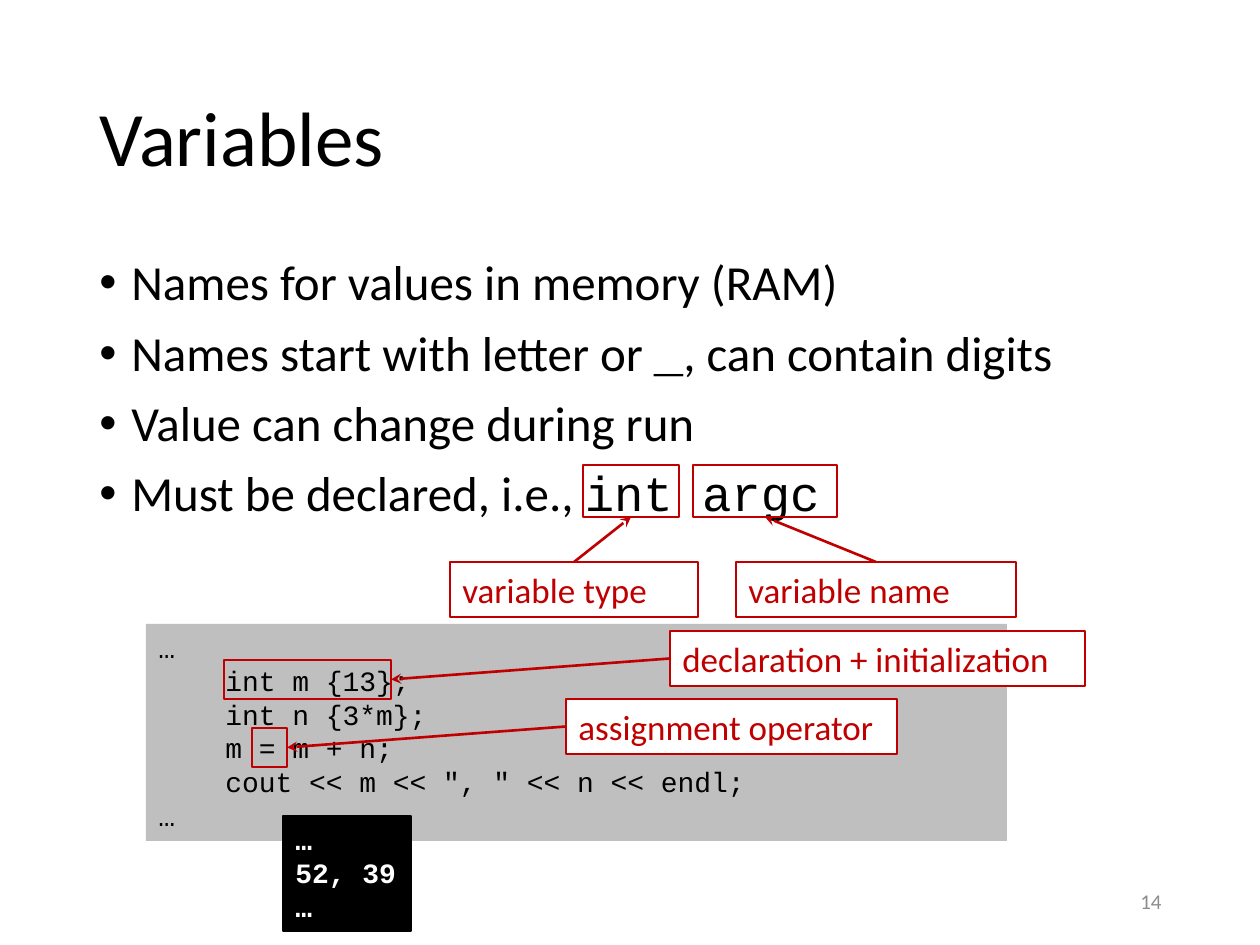
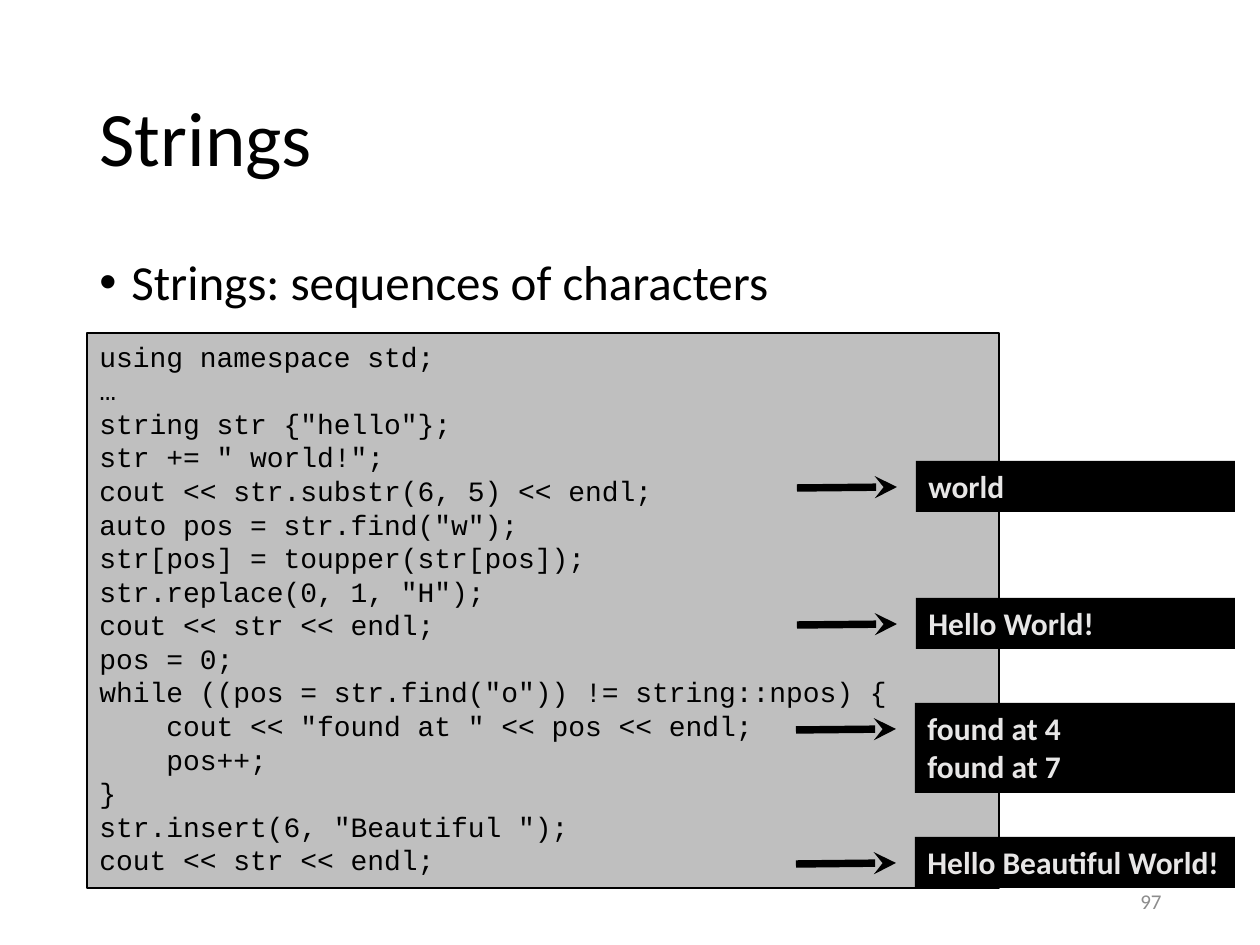
import pptx
import pptx.util
import pptx.dml.color
import pptx.enum.shapes
import pptx.enum.text
import pptx.oxml.ns
from lxml import etree

SCALE = 914400 / 126
SANS, MONO = "Calibri", "Courier New"
BLACK, WHITE, RED, GRAY = "000000", "FFFFFF", "C00000", "BFBFBF"
PALE, DIM = "E7E6E6", "8C8C8C"
ANCHOR = pptx.enum.text.MSO_ANCHOR
ALIGN = pptx.enum.text.PP_ALIGN
LEFT, RIGHT, TOP, BOTTOM = 1, 3, 0, 2

DECLARE = """…
    int m {13};
    int n {3*m};
    m = m + n;
    cout << m << ", " << n << endl;
…"""

STRINGS = """using namespace std;
…
string str {"hello"};
str += " world!";
cout << str.substr(6, 5) << endl;
auto pos = str.find("w");
str[pos] = toupper(str[pos]);
str.replace(0, 1, "H");
cout << str << endl;
pos = 0;
while ((pos = str.find("o")) != string::npos) {
    cout << "found at " << pos << endl;
    pos++;
}
str.insert(6, "Beautiful ");
cout << str << endl;"""


def px(*sizes):
    return [round(size * SCALE) for size in sizes]


def color(code):
    return pptx.dml.color.RGBColor.from_string(code)


def style(runs, size, tint, face=SANS, bold=False):
    for run in runs:
        run.font.size = pptx.util.Pt(size)
        run.font.name = face
        run.font.bold = bold
        run.font.color.rgb = color(tint)


def write(frame, text, size, tint, face=SANS, bold=False,
          align=ALIGN.LEFT, anchor=ANCHOR.TOP):
    frame.text = text
    frame.word_wrap = True
    frame.auto_size = pptx.enum.text.MSO_AUTO_SIZE.NONE
    frame.vertical_anchor = anchor
    for para in frame.paragraphs:
        para.alignment = align
        style(para.runs, size, tint, face, bold)


def panel(slide, box, fill=None, line=None, width=0.75):
    """Add a rectangle; without fill or line, that part is left clear."""
    shape = slide.shapes.add_shape(
        pptx.enum.shapes.MSO_SHAPE.RECTANGLE, *px(*box))
    shape.shadow.inherit = False
    if fill:
        shape.fill.solid()
        shape.fill.fore_color.rgb = color(fill)
    else:
        shape.fill.background()
    if line:
        shape.line.color.rgb = color(line)
        shape.line.width = pptx.util.Pt(width)
    else:
        shape.line.fill.background()
    return shape


def arrow(slide, start, end, tint, width):
    link = slide.shapes.add_connector(
        pptx.enum.shapes.MSO_CONNECTOR.STRAIGHT, *px(*start, *end))
    link.line.color.rgb = color(tint)
    link.line.width = pptx.util.Pt(width)
    qn = pptx.oxml.ns.qn
    etree.SubElement(link.line._get_or_add_ln(), qn("a:tailEnd"), type="stealth")
    etree.SubElement(link._element.spPr, qn("a:effectLst"))
    return link


def begin(deck, title, number):
    """Add a slide with its title and page number."""
    slide = deck.slides.add_slide(deck.slide_layouts[5])
    head = slide.shapes.title
    head.left, head.top, head.width, head.height = px(87, 50, 1086, 183)
    write(head.text_frame, title, 44, BLACK, anchor=ANCHOR.MIDDLE)
    head.text_frame.paragraphs[0].line_spacing = 0.9
    page = slide.shapes.add_textbox(*px(890, 876, 284, 50))
    write(page.text_frame, str(number), 12, DIM,
          align=ALIGN.RIGHT, anchor=ANCHOR.MIDDLE)
    return slide


def bullets(slide, box, items):
    """List the items; text between backticks is set as code."""
    frame = slide.shapes.add_textbox(*px(*box)).text_frame
    frame.word_wrap = True
    for row, item in enumerate(items):
        para = frame.add_paragraph() if row else frame.paragraphs[0]
        props = para._p.get_or_add_pPr()
        indent = px(32)[0]
        props.set("marL", str(indent))
        props.set("indent", str(-indent))
        para.line_spacing = 0.9
        para.space_before = pptx.util.Pt(10 if row else 0)
        qn = pptx.oxml.ns.qn
        etree.SubElement(props, qn("a:buFont"), typeface="Arial")
        etree.SubElement(props, qn("a:buChar"), char="•")
        for part, text in enumerate(item.split("`")):
            if text:
                run = para.add_run()
                run.text = text
                style([run], 28, BLACK, MONO if part % 2 else SANS)


def code(slide, box, text, line=None):
    write(panel(slide, box, GRAY, line).text_frame, text, 16, BLACK, MONO)


def callout(slide, box, text, mark, sides):
    """Label the marked area, with an arrow between the given sides."""
    label = panel(slide, box, WHITE, RED, 1.5)
    write(label.text_frame, text, 20, RED)
    frame = panel(slide, mark, line=RED, width=1.5)
    link = arrow(slide, box[:2], mark[:2], RED, 1.5)
    link.begin_connect(label, sides[0])
    link.end_connect(frame, sides[1])


def result(slide, box, text):
    """Show printed output, with an arrow from the code on its left."""
    left, top = box[:2]
    arrow(slide, (left - 119, top + 27), (left - 19, top + 26), BLACK, 4.25)
    write(panel(slide, box, BLACK).text_frame, text, 18, PALE, bold=True)


def variables(deck):
    slide = begin(deck, "Variables", 14)
    bullets(slide, (87, 252, 1086, 600), [
        "Names for values in memory (RAM)",
        "Names start with letter or `_`, can contain digits",
        "Value can change during run",
        "Must be declared, i.e., `int argc`"])
    up, back = (TOP, BOTTOM), (LEFT, RIGHT)
    callout(slide, (450, 562, 248, 55), "variable type", (583, 465, 96, 52), up)
    callout(slide, (736, 562, 280, 55), "variable name", (693, 465, 144, 52), up)
    code(slide, (146, 624, 861, 217), DECLARE)
    console = panel(slide, (283, 816, 128, 115), BLACK, BLACK)
    write(console.text_frame, "…\n52, 39\n…", 16, WHITE, MONO, True)
    callout(slide, (566, 699, 331, 55), "assignment operator",
            (252, 728, 35, 39), back)
    callout(slide, (670, 631, 415, 55), "declaration + initialization",
            (224, 660, 167, 39), back)


def strings(deck):
    slide = begin(deck, "Strings", 97)
    bullets(slide, (87, 252, 1086, 600), ["Strings: sequences of characters"])
    code(slide, (87, 333, 912, 555), STRINGS, BLACK)
    for left, top, high, text in [
            (916, 461, 51, "world"),
            (916, 598, 51, "Hello World!"),
            (915, 703, 90, "found at 4\nfound at 7"),
            (915, 837, 51, "Hello Beautiful World!")]:
        result(slide, (left, top, 1235 - left, high), text)


def main():
    deck = pptx.Presentation()
    deck.slide_width, deck.slide_height = px(1260, 945)
    variables(deck)
    strings(deck)
    deck.save("out.pptx")


if __name__ == "__main__":
    main()
